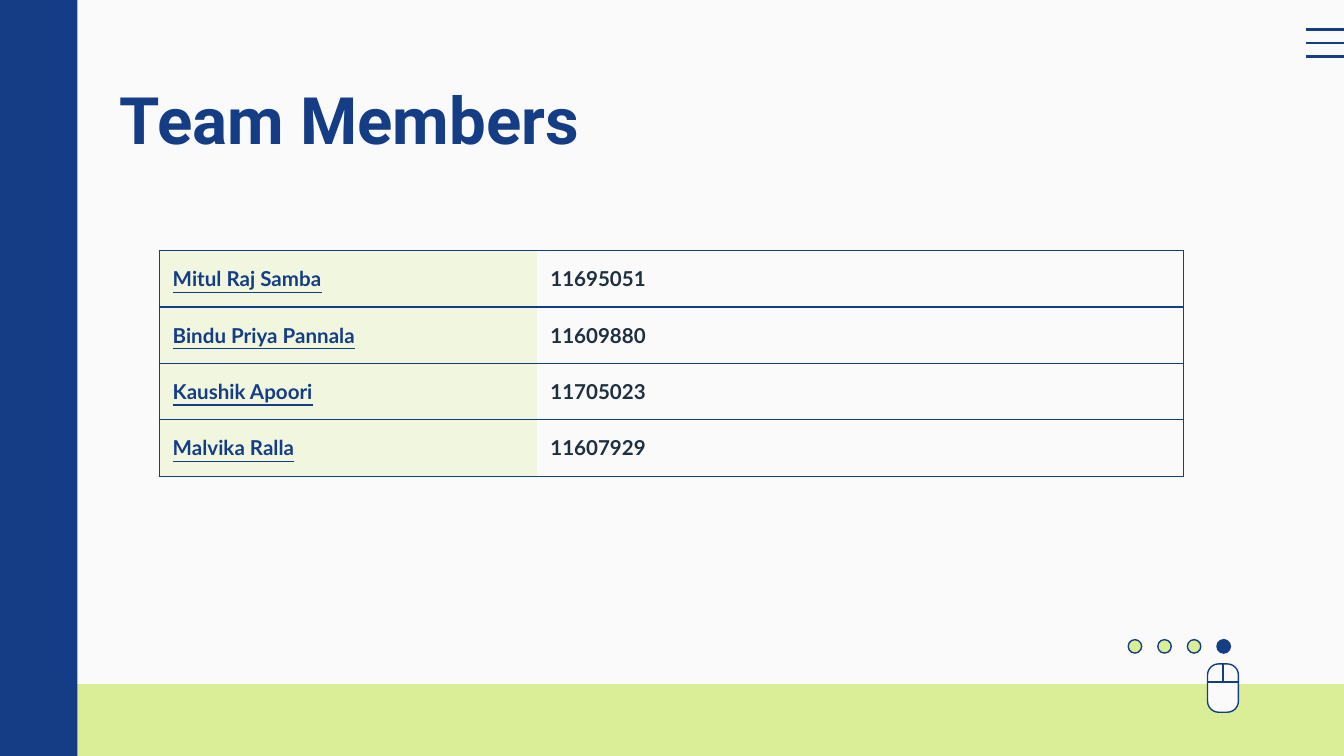
from lxml import etree
from pptx import Presentation
from pptx.dml.color import RGBColor
from pptx.enum.shapes import MSO_CONNECTOR, MSO_SHAPE
from pptx.enum.text import MSO_ANCHOR, PP_ALIGN
from pptx.oxml.ns import qn
from pptx.util import Emu, Pt

STRAIGHT = MSO_CONNECTOR.STRAIGHT
RECT, OVAL, ROUNDED = MSO_SHAPE.RECTANGLE, MSO_SHAPE.OVAL, MSO_SHAPE.ROUNDED_RECTANGLE
TOP, MIDDLE, LEFT = MSO_ANCHOR.TOP, MSO_ANCHOR.MIDDLE, PP_ALIGN.LEFT
PX_PER_INCH = 200
THIN = 0.75
COLORS = {
    "paper": "FAFAFA",
    "navy": "153D85",
    "lime": "DAEE97",
    "pale": "F1F7DF",
    "ink": "1D2F41",
}
MEMBERS = [
    ("Mitul Raj Samba", "11695051"),
    ("Bindu Priya Pannala", "11609880"),
    ("Kaushik Apoori", "11705023"),
    ("Malvika Ralla", "11607929"),
]


def px(n):
    """Turn px into EMU."""
    return Emu(n * 914400 // PX_PER_INCH)


def rgb(name):
    """Look up a palette colour."""
    return RGBColor.from_string(COLORS[name])


def set_font(p, name, size, color):
    """Give a paragraph a bold font."""
    p.font.name = name
    p.font.size = Pt(size)
    p.font.bold = True
    p.font.color.rgb = rgb(color)


def add_box(shapes, kind, x, y, w, h, fill, line=None):
    """Add a filled shape, outlined if a line colour is given."""
    s = shapes.add_shape(kind, px(x), px(y), px(w), px(h))
    s.shadow.inherit = False
    s.fill.solid()
    s.fill.fore_color.rgb = rgb(fill)
    if line:
        s.line.color.rgb = rgb(line)
        s.line.width = Pt(THIN)
    else:
        s.line.fill.background()
    return s


def add_line(shapes, x1, y1, x2, y2, width):
    """Add a straight navy line."""
    s = shapes.add_connector(STRAIGHT, px(x1), px(y1), px(x2), px(y2))
    s.line.color.rgb = rgb("navy")
    s.line.width = Pt(width)
    etree.SubElement(s._element.spPr, qn("a:effectLst"))


def add_frame(shapes):
    """Draw the footer band and the sidebar."""
    add_box(shapes, RECT, 114, 1018, 1886, 107, "lime")
    add_box(shapes, RECT, -6, -14, 121, 1140, "navy")


def add_menu(shapes, x, y, w, gap):
    """Draw the three-line menu icon."""
    group = shapes.add_group_shape().shapes
    for i in range(3):
        add_line(group, x, y + i * gap, x + w, y + i * gap, 1.5)


def add_title(slide, x, y, w, h):
    """Place and format the title."""
    s = slide.shapes.title
    s.left, s.top, s.width, s.height = px(x), px(y), px(w), px(h)
    tf = s.text_frame
    tf.text = "Team Members"
    tf.word_wrap = True
    tf.vertical_anchor = TOP
    tf.margin_left = tf.margin_right = tf.margin_top = tf.margin_bottom = px(20)
    p = tf.paragraphs[0]
    p.alignment = LEFT
    set_font(p, "Roboto", 35, "navy")


def add_dots(shapes, x, y, size, pitch, count):
    """Draw the page dots with the last one active."""
    group = shapes.add_group_shape().shapes
    for i in range(count):
        fill = "navy" if i == count - 1 else "lime"
        add_box(group, OVAL, x + i * pitch, y, size, size, fill, "navy")


def add_mouse(shapes, x, y, w, h, split):
    """Draw the computer mouse icon."""
    group = shapes.add_group_shape().shapes
    body = add_box(group, ROUNDED, x, y, w, h, "paper", "navy")
    body.adjustments[0] = 0.36
    add_line(group, x, y + split, x + w, y + split, THIN)
    add_line(group, x + w // 2, y, x + w // 2, y + split, THIN)


def set_borders(cell, sides):
    """Draw the named cell sides and clear the others."""
    tcPr = cell._tc.get_or_add_tcPr()
    for i, side in enumerate("LRTB"):
        ln = etree.Element(qn(f"a:ln{side}"), w=str(Pt(THIN)))
        if side in sides:
            fill = etree.SubElement(ln, qn("a:solidFill"))
            etree.SubElement(fill, qn("a:srgbClr"), val=COLORS["navy"])
        else:
            etree.SubElement(ln, qn("a:noFill"))
        tcPr.insert(i, ln)


def add_cell(cell, text, fill, color, sides, underline):
    """Fill and format one table cell."""
    cell.text = text
    cell.vertical_anchor = MIDDLE
    cell.margin_left = cell.margin_right = px(20)
    cell.margin_top = cell.margin_bottom = 0
    cell.fill.solid()
    cell.fill.fore_color.rgb = rgb(fill)
    p = cell.text_frame.paragraphs[0]
    set_font(p, "Lato", 11, color)
    p.font.underline = underline
    set_borders(cell, sides)


def add_members(shapes, x, y, widths, row_h):
    """Draw the table of names and numbers."""
    rows = len(MEMBERS)
    s = shapes.add_table(rows, 2, px(x), px(y), px(sum(widths)), px(rows * row_h))
    table = s.table
    table.first_row = table.horz_banding = False
    for column, width in zip(table.columns, widths):
        column.width = px(width)
    for i, (name, number) in enumerate(MEMBERS):
        add_cell(table.cell(i, 0), name, "pale", "navy", "LTB", True)
        add_cell(table.cell(i, 1), number, "paper", "ink", "RTB", False)


def main():
    """Build and save the slide."""
    prs = Presentation()
    prs.slide_width, prs.slide_height = px(2000), px(1125)
    slide = prs.slides.add_slide(prs.slide_layouts[5])
    slide.background.fill.solid()
    slide.background.fill.fore_color.rgb = rgb("paper")
    add_frame(slide.shapes)
    add_menu(slide.shapes, 1944, 44, 72, 20)
    add_title(slide, 158, 98, 1686, 126)
    add_dots(slide.shapes, 1679, 952, 20, 44, 4)
    add_mouse(slide.shapes, 1797, 988, 46, 72, 27)
    add_members(slide.shapes, 237, 373, (562, 962), 84)
    prs.save("out.pptx")


if __name__ == "__main__":
    main()
